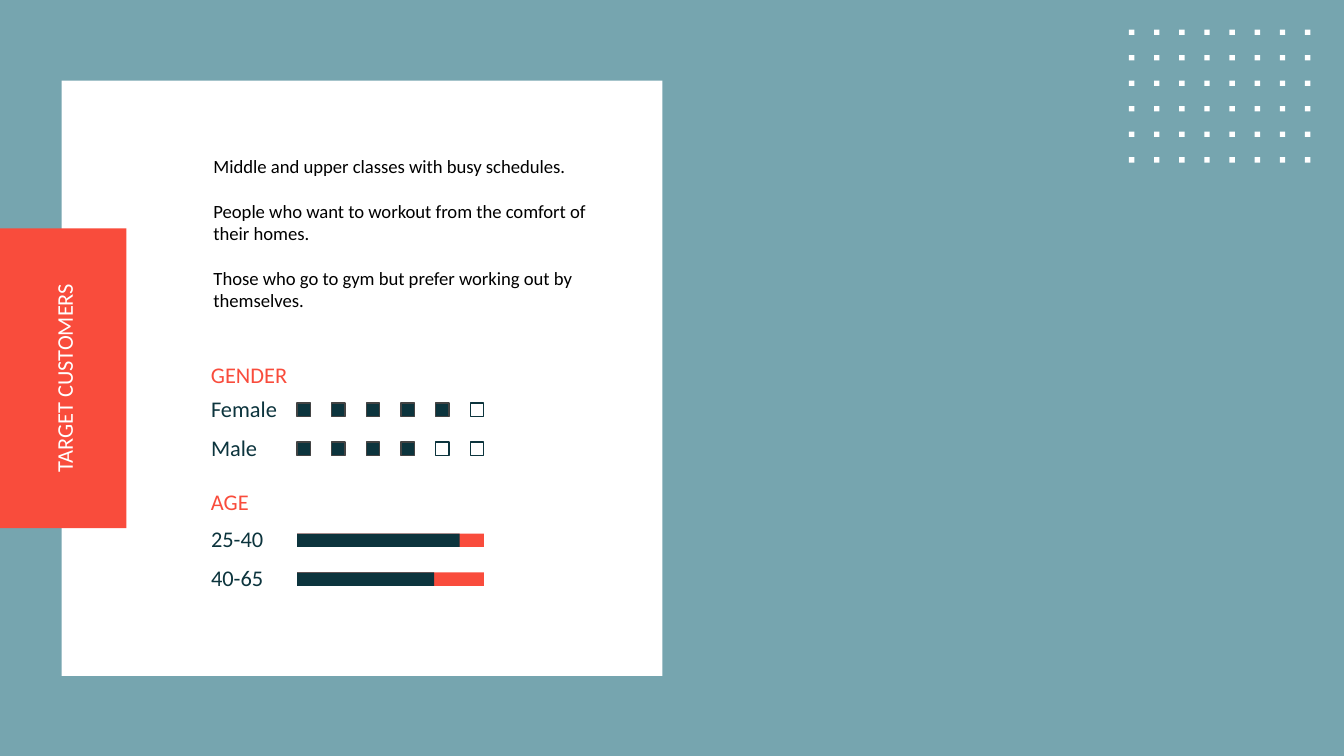
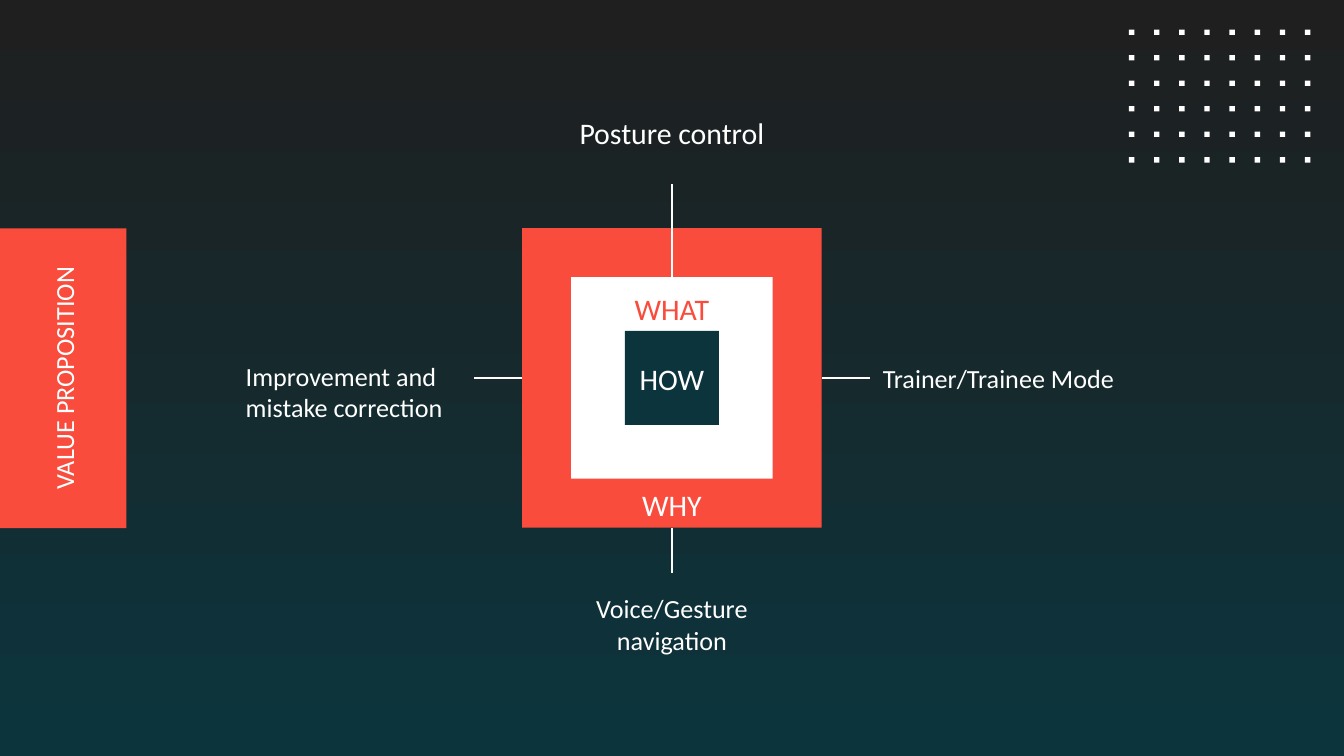
from pptx import Presentation
from pptx.dml.color import RGBColor
from pptx.enum.shapes import MSO_CONNECTOR, MSO_SHAPE
from pptx.enum.text import MSO_ANCHOR, PP_ALIGN
from pptx.oxml.ns import qn
from pptx.util import Inches, Pt
from lxml.etree import SubElement

WIDTH = 10
HEIGHT = WIDTH * 9 / 16
FONT = "Calibri"
WHITE, BLACK, RED, TEAL = "FFFFFF", "000000", "F94C3C", "0C343D"
SKY, CHARCOAL, GREY = "76A5AF", "1F1F1F", "434343"
LABEL_INSETS = (0, 0.01, 0, 0)
BOX_INSETS = (0.1, 0.1, 0.1, 0.1)
TOP, LEFT, BOTTOM, RIGHT = range(4)


def rgb(value):
    """Turn a hex string into a colour."""
    return RGBColor.from_string(value)


class Deck:
    """Hold the style and the current slide."""

    def __init__(self):
        """Start an empty widescreen presentation."""
        self.prs = Presentation()
        self.prs.slide_width, self.prs.slide_height = Inches(WIDTH), Inches(HEIGHT)
        self.s = None

    def slide(self):
        """Add a blank slide with the dot grid in its corner."""
        self.s = self.prs.slides.add_slide(self.prs.slide_layouts[6])
        dots = self.s.shapes.add_group_shape()
        for row in range(6):
            for col in range(8):
                self.rect(8.4 + col * 1.31 / 7, 0.22 + row * 0.19, 0.04, 0.04,
                          WHITE, parent=dots)

    def background(self, *colors):
        """Fill the background with one colour or a downward gradient."""
        fill = self.s.background.fill
        if len(colors) == 1:
            fill.solid()
            fill.fore_color.rgb = rgb(colors[0])
            return
        fill.gradient()
        fill.gradient_angle = 270
        for position, (stop, color) in enumerate(zip(fill.gradient_stops, colors)):
            stop.position = position
            stop.color.rgb = rgb(color)

    def rect(self, x, y, w, h, fill=None, line=None, parent=None):
        """Draw a rectangle on the slide or in a group."""
        sp = (parent or self.s).shapes.add_shape(
            MSO_SHAPE.RECTANGLE, Inches(x), Inches(y), Inches(w), Inches(h))
        sp.shadow.inherit = False
        if fill:
            sp.fill.solid()
            sp.fill.fore_color.rgb = rgb(fill)
        else:
            sp.fill.background()
        if line:
            sp.line.color.rgb = rgb(line)
            sp.line.width = Pt(0.75)
        else:
            sp.line.fill.background()
        return sp

    def text(self, x, y, w, h, text, size, color, align=PP_ALIGN.LEFT,
             anchor=MSO_ANCHOR.MIDDLE, insets=BOX_INSETS, gap=0):
        """Write a text box, one paragraph a line."""
        sp = self.s.shapes.add_textbox(Inches(x), Inches(y), Inches(w), Inches(h))
        tf = sp.text_frame
        tf.word_wrap = True
        tf.vertical_anchor = anchor
        (tf.margin_left, tf.margin_top,
         tf.margin_right, tf.margin_bottom) = map(Inches, insets)
        tf.text = text
        for i, p in enumerate(tf.paragraphs):
            p.alignment = align
            if i and gap:
                p.space_before = Pt(gap)
            for r in p.runs:
                r.font.name = FONT
                r.font.size = Pt(size)
                r.font.color.rgb = rgb(color)
        return sp

    def label(self, y, text, color=TEAL, w=1.12, h=0.23):
        """Write a label in the left column of the panel."""
        self.text(1.57, y, w, h, text, 12, color,
                  anchor=MSO_ANCHOR.BOTTOM, insets=LABEL_INSETS)

    def title(self, text, size):
        """Draw the side band with its upright title."""
        self.rect(0, 1.7, 0.94, 2.23, RED)
        sp = self.text(-1.72, 2.5, 4.39, 0.63, text, size, WHITE, PP_ALIGN.CENTER)
        sp.rotation = 270

    def line(self, start, end, begin=None, finish=None):
        """Draw a white line, joined to any given (shape, side)."""
        x1, y1, x2, y2 = map(Inches, start + end)
        c = self.s.shapes.add_connector(MSO_CONNECTOR.STRAIGHT, x1, y1, x2, y2)
        c.line.color.rgb = rgb(WHITE)
        c.line.width = Pt(1.5)
        SubElement(c.element.spPr, qn("a:effectLst"))
        if begin:
            c.begin_connect(*begin)
        if finish:
            c.end_connect(*finish)

    def rating(self, y, text, score):
        """Draw a label with six squares, the first ones filled."""
        self.label(y - 0.09, text, w=0.55)
        squares = self.s.shapes.add_group_shape()
        for i in range(6):
            fill, line = (TEAL, GREY) if i < score else (None, TEAL)
            self.rect(2.21 + i * 1.29 / 5, y, 0.1, 0.1, fill, line, squares)

    def bar(self, y, text, filled):
        """Draw a label with a partly filled bar."""
        self.label(y - 0.09, text)
        self.rect(2.21, y, 1.39, 0.1, RED)
        self.rect(2.21, y, filled, 0.1, TEAL)


def target_customers(d):
    """Build the customer profile slide."""
    d.slide()
    d.background(SKY)
    d.rect(0.46, 0.6, 4.47, 4.43, WHITE)
    d.title("TARGET CUSTOMERS", 12)
    d.text(1.49, 1.05, 3, 1.55,
           "Middle and upper classes with busy schedules.\n"
           "People who want to workout from the comfort of their homes.\n"
           "Those who go to gym but prefer working out by themselves.",
           10, BLACK, anchor=MSO_ANCHOR.TOP, gap=12)
    d.label(2.51, "GENDER", RED, 0.74, 0.38)
    d.rating(3, "Female", 5)
    d.rating(3.29, "Male", 4)
    d.label(3.45, "AGE", RED, 0.74, 0.38)
    d.bar(3.97, "25-40", 1.21)
    d.bar(4.26, "40-65", 1.02)


def value_proposition(d):
    """Build the nested squares slide."""
    d.slide()
    d.background(CHARCOAL, TEAL)
    d.title("VALUE PROPOSITION", 14)
    cx, cy = WIDTH / 2, HEIGHT / 2
    why, what, how = [d.rect(cx - size / 2, cy - size / 2, size, size, color)
                      for size, color in ((2.23, RED), (1.5, WHITE), (0.7, TEAL))]
    for y, text, color in ((2.16, "WHAT", RED), (2.68, "HOW", WHITE), (3.62, "WHY", WHITE)):
        d.text(cx - 0.42, y, 0.84, 0.27, text, 16, color, PP_ALIGN.CENTER)

    posture = d.text(cx - 1.05, 0.6, 2.1, 0.77, "Posture control", 16, WHITE,
                     PP_ALIGN.CENTER)
    voice = d.text(cx - 1.08, 4.26, 2.16, 0.77, "Voice/Gesture navigation", 14, WHITE,
                   PP_ALIGN.CENTER)
    trainer = d.text(6.47, cy - 0.77 / 2, 2.16, 0.77, "Trainer/Trainee Mode", 14, WHITE)
    d.text(1.73, 2.58, 1.71, 0.67, "Improvement and mistake correction", 14, WHITE,
           anchor=MSO_ANCHOR.TOP)

    d.line((cx, 2.06), (cx, 1.37), (what, TOP), (posture, BOTTOM))
    d.line((cx, 4.26), (cx, 3.93), (voice, TOP), (why, BOTTOM))
    d.line((6.12, cy), (6.47, cy), (why, RIGHT), (trainer, LEFT))
    d.line((3.53, cy), (3.88, cy), finish=(why, LEFT))


def main():
    """Build and save the presentation."""
    d = Deck()
    target_customers(d)
    value_proposition(d)
    d.prs.save("out.pptx")


if __name__ == "__main__":
    main()
